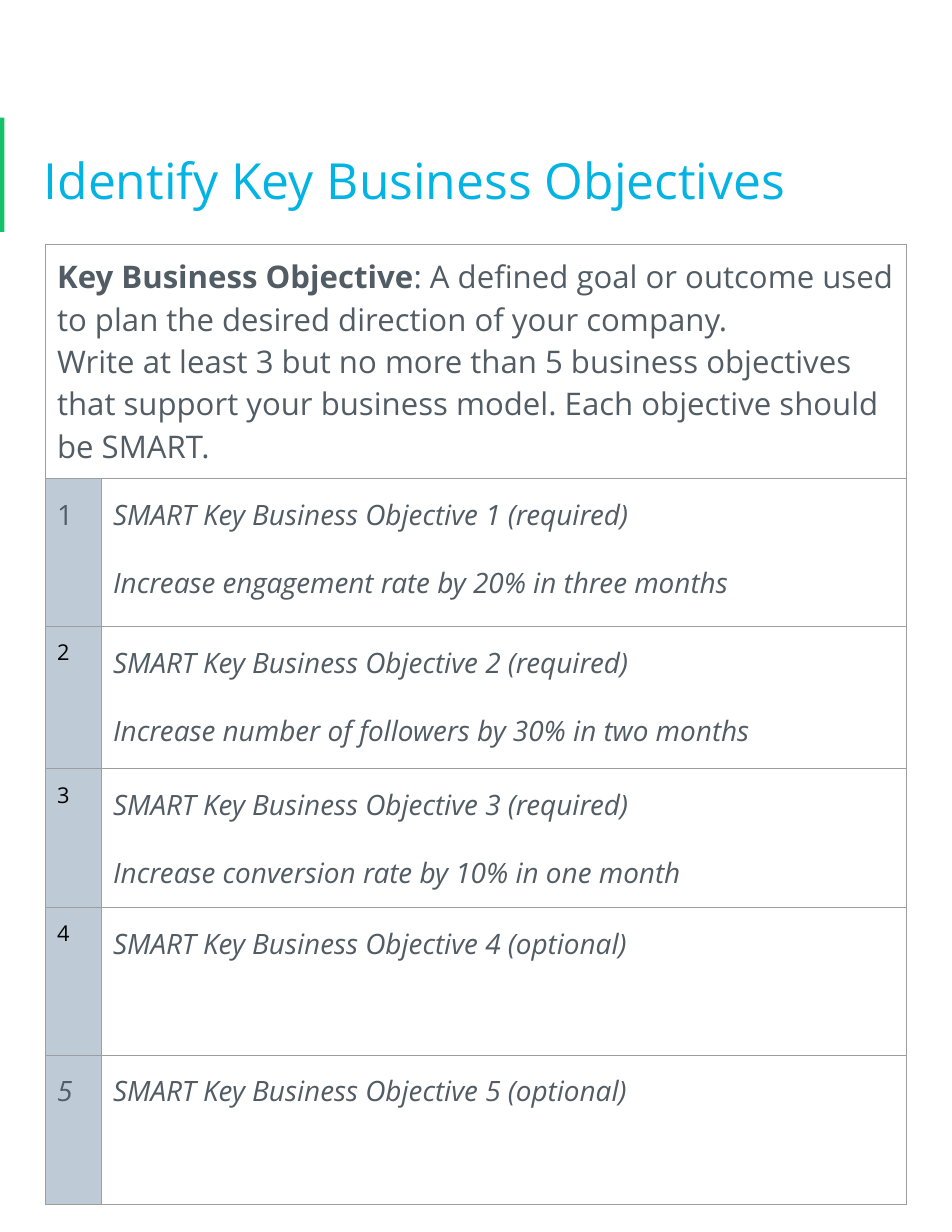
from lxml import etree
from pptx import Presentation
from pptx.dml.color import RGBColor
from pptx.enum.shapes import MSO_SHAPE as Shape
from pptx.enum.text import MSO_ANCHOR as Anchor, MSO_AUTO_SIZE as AutoSize, PP_ALIGN as Align
from pptx.oxml.ns import qn
from pptx.util import Inches, Pt

FONT = "Open Sans"
GREEN, BLUE, GREY, BLACK = "15C26B", "02B3E4", "525C65", "000000"
LABEL_FILL, BORDER = "BECBD6", "9E9E9E"
INSET = Inches(0.1)

COLUMN_WIDTHS = (0.5, 7.18)
ROW_HEIGHTS = (1.25, 1.32, 1.27, 1.24, 1.32, 1.33)
TERM = "Key Business Objective"
DEFINITION = ": A defined goal or outcome used to plan the desired direction of your company."
INSTRUCTION = (
    "Write at least 3 but no more than 5 business objectives that support "
    "your business model. Each objective should be SMART."
)
LARGE_LABEL = {"size": 18, "color": GREY, "line_spacing": 1.15}
SMALL_LABEL = {"size": 14, "color": BLACK}
# Status, example answer and label format of each objective
OBJECTIVES = [
    ("required", "Increase engagement rate by 20% in three months", LARGE_LABEL),
    ("required", "Increase number of followers by 30% in two months", SMALL_LABEL),
    ("required", "Increase conversion rate by 10% in one month", SMALL_LABEL),
    ("optional", None, SMALL_LABEL),
    ("optional", None, {**LARGE_LABEL, "italic": True}),
]


def rgb(color):
    return RGBColor.from_string(color)


def format_paragraph(paragraph, size, color, italic=False, line_spacing=None, after=None):
    paragraph.line_spacing = line_spacing
    if after is not None:
        paragraph.space_after = Pt(after)
    for run in paragraph.runs:
        font = run.font
        font.name, font.size, font.italic = FONT, Pt(size), italic
        font.color.rgb = rgb(color)


def set_insets(target):
    target.margin_left = target.margin_right = INSET
    target.margin_top = target.margin_bottom = INSET


def style_cell(cell, fill=None):
    set_insets(cell)
    properties = cell._tc.get_or_add_tcPr()
    for side in ("a:lnL", "a:lnR", "a:lnT", "a:lnB"):
        line = etree.SubElement(properties, qn(side), w=str(Pt(0.75)))
        solid = etree.SubElement(line, qn("a:solidFill"))
        etree.SubElement(solid, qn("a:srgbClr"), val=BORDER)
    if fill:
        cell.fill.solid()
        cell.fill.fore_color.rgb = rgb(fill)
    else:
        cell.fill.background()


def add_accent(slide, left, top, width, height):
    accent = slide.shapes.add_shape(Shape.RECTANGLE, left, top, width, height)
    accent.shadow.inherit = False
    accent.fill.solid()
    accent.fill.fore_color.rgb = rgb(GREEN)
    accent.line.fill.background()


def place_title(slide, text, left, top, width, height):
    title = slide.shapes.title
    title.left, title.top, title.width, title.height = left, top, width, height
    frame = title.text_frame
    frame.text = text
    frame.auto_size, frame.word_wrap = AutoSize.NONE, True
    frame.vertical_anchor = Anchor.MIDDLE
    set_insets(frame)
    paragraph = frame.paragraphs[0]
    paragraph.alignment = Align.LEFT
    format_paragraph(paragraph, 32, BLUE, line_spacing=1.15)


def fill_definition(cell):
    cell.vertical_anchor = Anchor.MIDDLE
    paragraph = cell.text_frame.paragraphs[0]
    paragraph.text = TERM
    paragraph.runs[0].font.bold = True
    paragraph.add_run().text = DEFINITION
    paragraph.add_line_break()
    paragraph.add_run().text = INSTRUCTION
    for run in paragraph.runs[1:]:
        run.font.bold = False
    format_paragraph(paragraph, 20, GREY, after=16)


def fill_objective(label_cell, text_cell, number, status, example, label_format):
    label_cell.text_frame.text = str(number)
    format_paragraph(label_cell.text_frame.paragraphs[0], **label_format)
    lines = [f"SMART Key Business Objective {number} ({status})"]
    if example:
        lines.append(example)
    text_cell.text_frame.text = "\n".join(lines)
    for paragraph in text_cell.text_frame.paragraphs:
        format_paragraph(paragraph, 18, GREY, italic=True, line_spacing=1.15, after=16)


def add_objectives_table(slide, left, top, width, height):
    table = slide.shapes.add_table(
        len(ROW_HEIGHTS), len(COLUMN_WIDTHS), left, top, width, height
    ).table
    table.first_row = table.horz_banding = False
    for column, column_width in zip(table.columns, COLUMN_WIDTHS):
        column.width = Inches(column_width)
    for row, row_height in zip(table.rows, ROW_HEIGHTS):
        row.height = Inches(row_height)

    header = table.cell(0, 0)
    header.merge(table.cell(0, 1))
    for cell in table.rows[0].cells:
        style_cell(cell)
    fill_definition(header)

    for number, objective in enumerate(OBJECTIVES, start=1):
        label_cell, text_cell = table.rows[number].cells
        style_cell(label_cell, LABEL_FILL)
        style_cell(text_cell)
        fill_objective(label_cell, text_cell, number, *objective)


def main():
    presentation = Presentation()
    presentation.slide_width, presentation.slide_height = Inches(8.5), Inches(11)
    slide = presentation.slides.add_slide(presentation.slide_layouts[5])
    add_accent(slide, Inches(0), Inches(1.05), Inches(0.04), Inches(1.02))
    place_title(slide, "Identify Key Business Objectives",
                Inches(0.29), Inches(0.95), Inches(7.92), Inches(1.22))
    add_objectives_table(slide, Inches(0.41), Inches(2.18), Inches(7.68), Inches(8.35))
    presentation.save("out.pptx")


if __name__ == "__main__":
    main()
